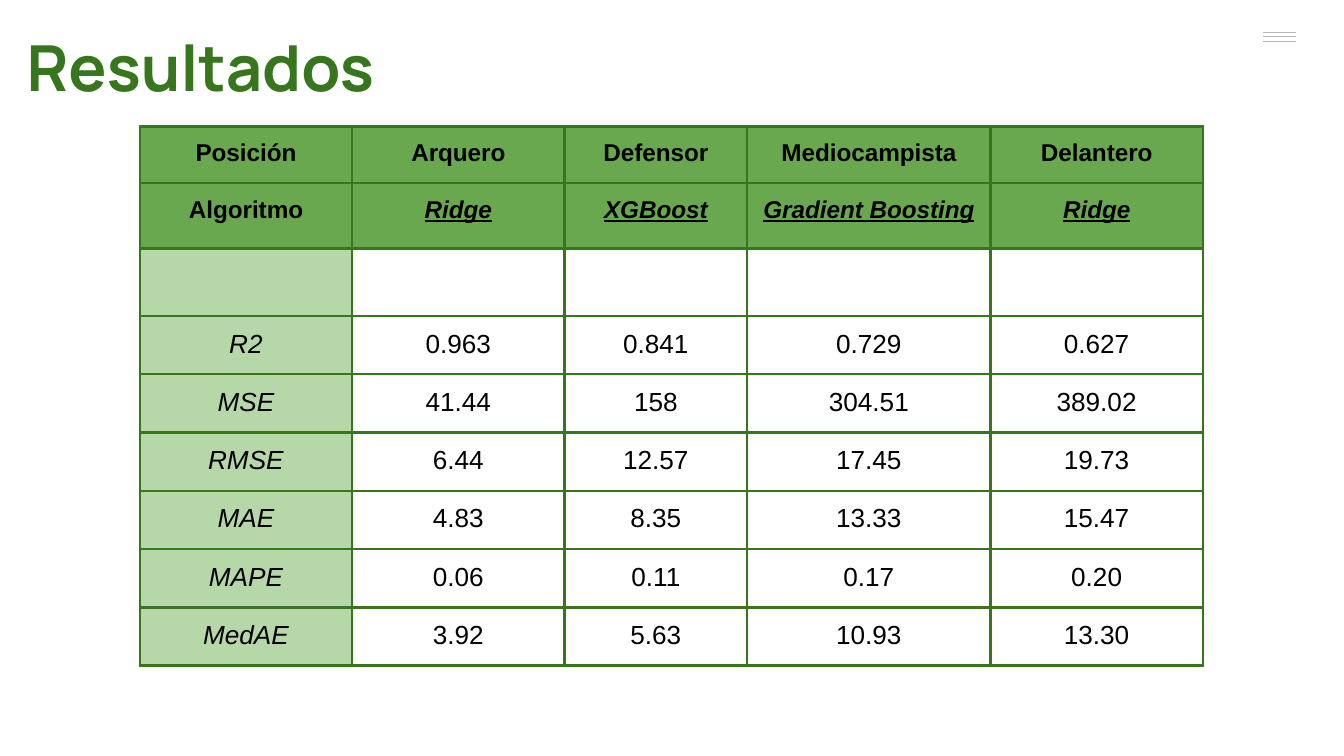
from lxml.etree import SubElement as Sub
from pptx import Presentation as Deck
from pptx.dml.color import RGBColor as Rgb
from pptx.enum.shapes import MSO_CONNECTOR as Kind
from pptx.enum.text import MSO_AUTO_SIZE as Fit, PP_ALIGN as Align
from pptx.oxml.ns import qn
from pptx.util import Inches, Pt

COLORS = {"dark": "38761D", "head": "6AA84F", "side": "B6D7A8",
          "text": "000000", "menu": "B7B7B7"}
COLS = [1.58, 1.58, 1.36, 1.81, 1.58]
ROWS = [0.42, 0.49, 0.21] + [0.42] * 6
DATA = [
    ["Posición", "Arquero", "Defensor", "Mediocampista", "Delantero"],
    ["Algoritmo", "Ridge", "XGBoost", "Gradient Boosting", "Ridge"],
    [""] * 5,
    ["R2", "0.963", "0.841", "0.729", "0.627"],
    ["MSE", "41.44", "158", "304.51", "389.02"],
    ["RMSE", "6.44", "12.57", "17.45", "19.73"],
    ["MAE", "4.83", "8.35", "13.33", "15.47"],
    ["MAPE", "0.06", "0.11", "0.17", "0.20"],
    ["MedAE", "3.92", "5.63", "10.93", "13.30"],
]


class Page:
    """Holds the style and the current slide."""

    def __init__(self, slide):
        self.slide = slide
        self.face = "Arial"
        self.pad = Inches(0.1)

    def color(self, name):
        return Rgb.from_string(COLORS[name])

    def font(self, par, size, color, face=None, bold=False):
        for run in par.runs:
            font = run.font
            font.name = face or self.face
            font.size = Pt(size)
            font.bold = bold
            font.color.rgb = self.color(color)

    def line(self, x, y, width):
        line = self.slide.shapes.add_connector(
            Kind.STRAIGHT, Inches(x), Inches(y), Inches(x + width), Inches(y))
        line.line.color.rgb = self.color("menu")
        line.line.width = Pt(0.75)
        Sub(line._element.spPr, qn("a:effectLst"))

    def title(self, text, x, y, width, height):
        box = self.slide.shapes.add_textbox(
            Inches(x), Inches(y), Inches(width), Inches(height))
        frame = box.text_frame
        frame.word_wrap = True
        frame.auto_size = Fit.SHAPE_TO_FIT_TEXT
        frame.margin_left = frame.margin_right = self.pad
        frame.margin_top = frame.margin_bottom = self.pad
        frame.text = text
        self.font(frame.paragraphs[0], 34, "dark", "Manrope", True)

    def border(self, cell):
        props = cell._tc.get_or_add_tcPr()
        for side in "LRTB":
            line = Sub(props, qn("a:ln" + side), w=str(Pt(1.5)))
            fill = Sub(line, qn("a:solidFill"))
            Sub(fill, qn("a:srgbClr"), val=COLORS["dark"])

    def cell(self, cell, text, row, col):
        cell.margin_left = cell.margin_right = self.pad
        cell.margin_top = cell.margin_bottom = self.pad
        self.border(cell)
        head = row < 2
        if head or col == 0:
            cell.fill.solid()
            cell.fill.fore_color.rgb = self.color("head" if head else "side")
        else:
            cell.fill.background()
        par = cell.text_frame.paragraphs[0]
        par.alignment = Align.CENTER
        if not text:
            return
        par.text = text
        self.font(par, 13 if head else 14, "text", bold=head)
        model = row == 1 and col > 0
        font = par.runs[0].font
        font.italic = model or (not head and col == 0)
        font.underline = model

    def table(self, data, x, y, cols, rows):
        table = self.slide.shapes.add_table(
            len(rows), len(cols), Inches(x), Inches(y),
            Inches(sum(cols)), Inches(sum(rows))).table
        table.first_row = table.horz_banding = False
        for col, width in zip(table.columns, cols):
            col.width = Inches(width)
        for row, height in zip(table.rows, rows):
            row.height = Inches(height)
        for r, texts in enumerate(data):
            for c, text in enumerate(texts):
                self.cell(table.cell(r, c), text, r, c)


def main():
    deck = Deck()
    deck.slide_width = Inches(10)
    deck.slide_height = deck.slide_width * 9 // 16
    page = Page(deck.slides.add_slide(deck.slide_layouts[6]))
    for y in (0.24, 0.27, 0.31):
        page.line(9.4, y, 0.24)
    page.title("Resultados", 0.1, 0.11, 7.29, 0.77)
    page.table(DATA, 1.04, 0.94, COLS, ROWS)
    deck.save("out.pptx")


if __name__ == "__main__":
    main()
